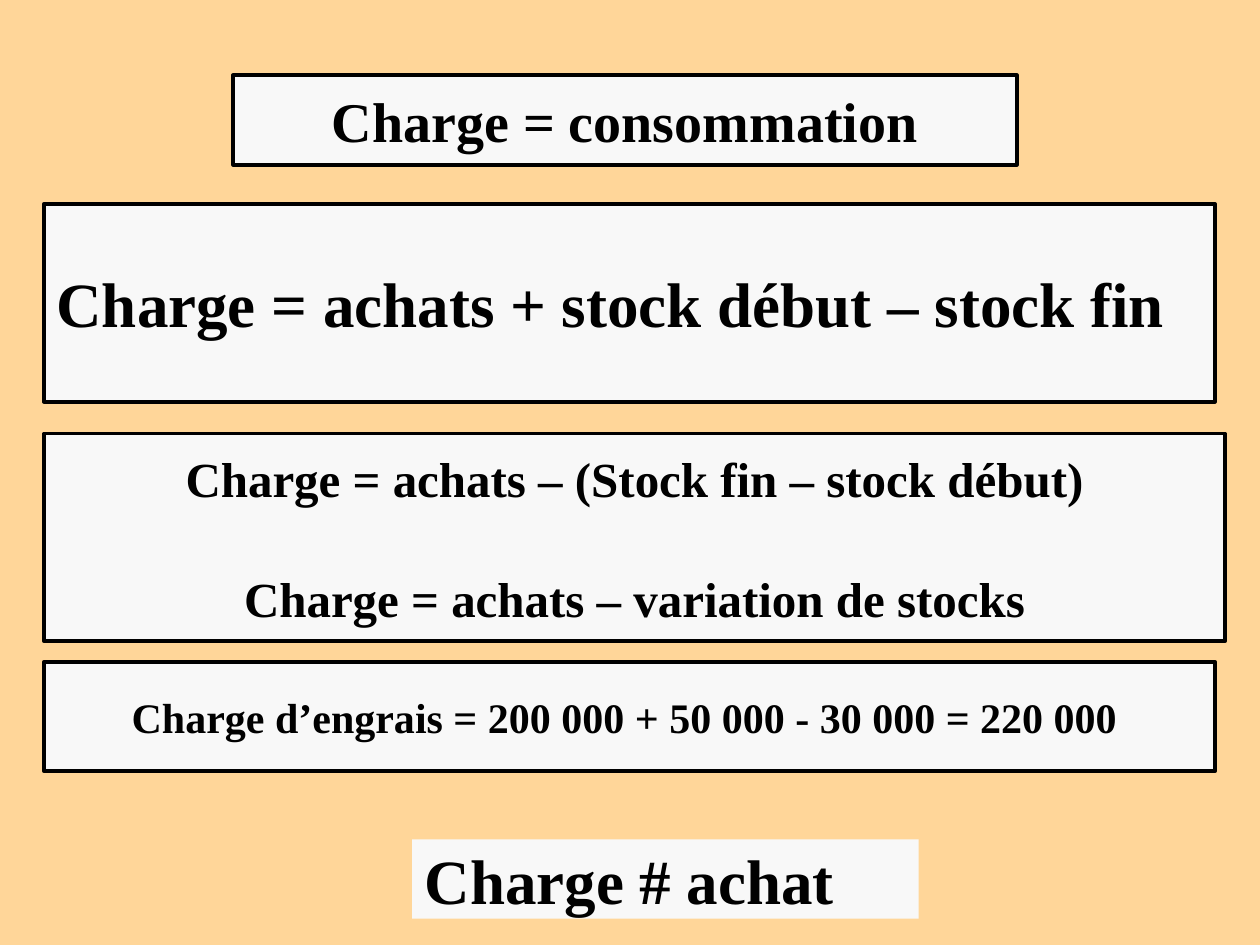
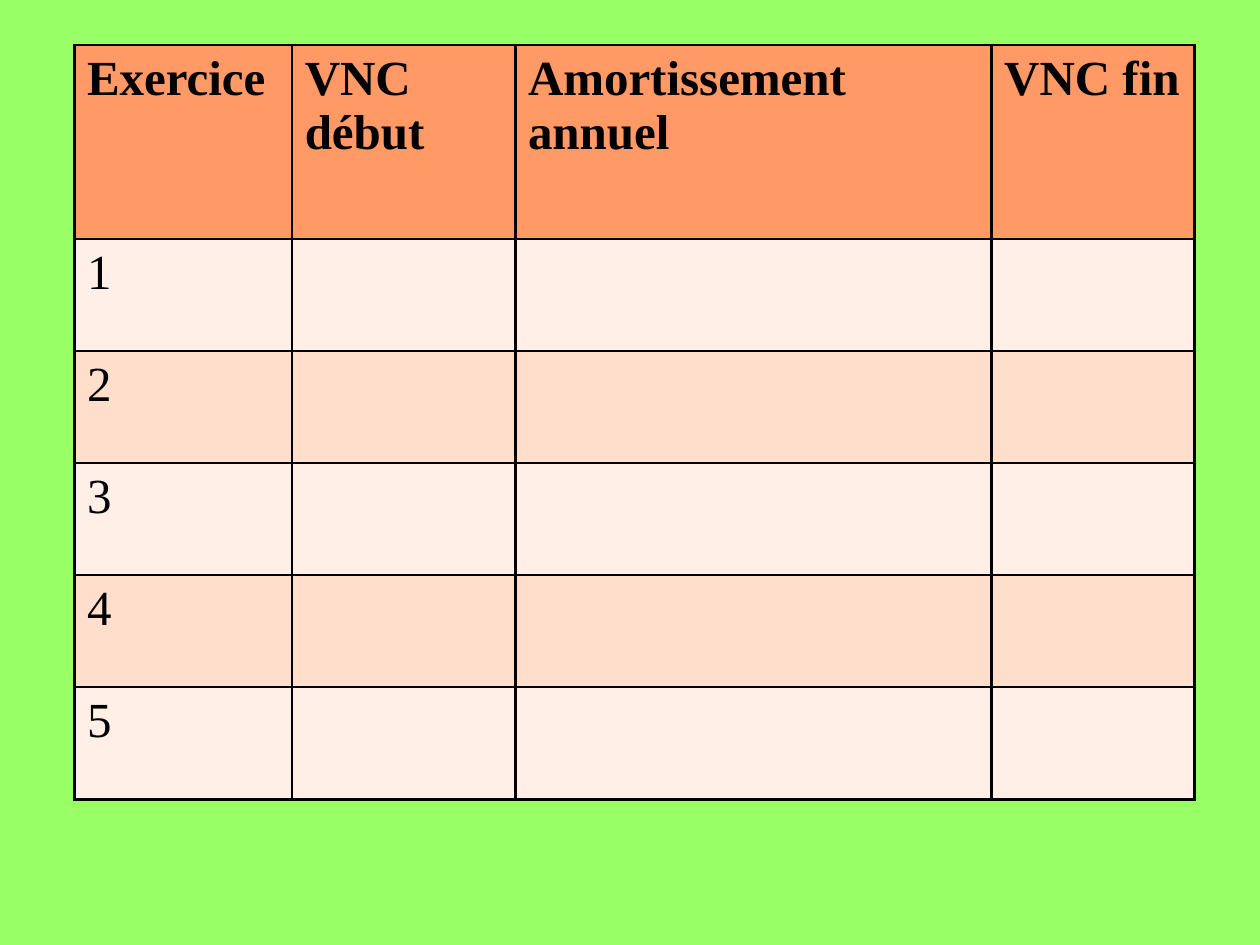
import dataclasses

import lxml.etree
import pptx
import pptx.dml.color
import pptx.enum.shapes
import pptx.enum.text
import pptx.oxml.ns
import pptx.util

Cm = pptx.util.Cm
Pt = pptx.util.Pt
ALIGN = pptx.enum.text.PP_ALIGN


@dataclasses.dataclass(frozen=True)
class Theme:
    font: str = "Times New Roman"
    ink: str = "000000"
    panel: str = "F8F8F8"
    sand: str = "FFD699"
    green: str = "99FF66"
    head: str = "FF9966"
    bands: tuple = ("FFEFE7", "FFDECB")
    huge: int = 36
    large: int = 32
    mid: int = 28
    small: int = 24
    frame: float = 2.25
    rule: float = 1.47


THEME = Theme()


def apply(item, values):
    for name, value in values.items():
        setattr(item, name, value)


def paint(fill, color):
    fill.solid()
    fill.fore_color.rgb = pptx.dml.color.RGBColor.from_string(color)


def write(para, text, size, bold=True, align=ALIGN.LEFT):
    para.alignment = align
    run = para.add_run()
    run.text = text
    apply(run.font, {"name": THEME.font, "size": Pt(size), "bold": bold})
    paint(run.font.fill, THEME.ink)


def add_slide(deck, color):
    slide = deck.slides.add_slide(deck.slide_layouts[6])
    paint(slide.background.fill, color)
    return slide


def add_panel(slide, place, lines, size, align=ALIGN.CENTER, framed=True, gap=0):
    kind = pptx.enum.shapes.MSO_SHAPE.RECTANGLE
    panel = slide.shapes.add_shape(kind, *map(Cm, place))
    panel.shadow.inherit = False
    paint(panel.fill, THEME.panel)
    if framed:
        paint(panel.line.fill, THEME.ink)
        panel.line.width = Pt(THEME.frame)
    else:
        panel.line.fill.background()
    frame = panel.text_frame
    apply(frame, {
        "word_wrap": True,
        "vertical_anchor": pptx.enum.text.MSO_ANCHOR.MIDDLE,
    })
    for i, text in enumerate(lines):
        para = frame.add_paragraph() if i else frame.paragraphs[0]
        if i:
            para.space_before = Pt(gap)
        write(para, text, size, align=align)


def add_edges(cell):
    props = cell._tc.get_or_add_tcPr()
    qn = pptx.oxml.ns.qn
    for side in ("lnL", "lnR", "lnT", "lnB"):
        edge = lxml.etree.SubElement(props, qn(f"a:{side}"), w=str(Pt(THEME.rule)))
        fill = lxml.etree.SubElement(edge, qn("a:solidFill"))
        lxml.etree.SubElement(fill, qn("a:srgbClr"), val=THEME.ink)


def add_grid(slide, left, top, widths, heights, rows):
    place = map(Cm, (left, top, sum(widths), sum(heights)))
    grid = slide.shapes.add_table(len(rows), len(widths), *place).table
    for col, width in zip(grid.columns, widths):
        col.width = Cm(width)
    for r, texts in enumerate(rows):
        grid.rows[r].height = Cm(heights[r])
        color = THEME.bands[(r - 1) % 2] if r else THEME.head
        for c in range(len(widths)):
            cell = grid.cell(r, c)
            add_edges(cell)
            paint(cell.fill, color)
            if c < len(texts):
                write(cell.text_frame.paragraphs[0], texts[c], THEME.mid, bold=r == 0)


def build_charge(deck):
    slide = add_slide(deck, THEME.sand)
    left, width = 0.89, 23.6
    add_panel(slide, (left, 4.11, width, 3.99),
              ["Charge = achats + stock début – stock fin"],
              THEME.huge, ALIGN.LEFT)
    add_panel(slide, (4.7, 1.52, 15.8, 1.8), ["Charge = consommation"], THEME.large)
    add_panel(slide, (left, 8.74, 23.8, 4.19),
              ["Charge = achats – (Stock fin – stock début)",
               "Charge = achats – variation de stocks"],
              THEME.mid, gap=35)
    add_panel(slide, (left, 13.34, width, 2.21),
              ["Charge d’engrais = 200 000 + 50 000 - 30 000 = 220 000 "],
              THEME.small)
    add_panel(slide, (8.31, 16.92, 10.21, 1.6), ["Charge # achat"],
              THEME.huge, ALIGN.LEFT, framed=False)


def build_value(deck):
    slide = add_slide(deck, THEME.green)
    heads = ["Exercice", "VNC début", "Amortissement annuel", "VNC fin"]
    years = [[str(year)] for year in range(1, 6)]
    add_grid(slide, 1.5, 0.91, [4.39, 4.5, 9.6, 4.09],
             [3.91] + [2.26] * len(years), [heads] + years)


def main():
    deck = pptx.Presentation()
    apply(deck, {"slide_width": Cm(25.4), "slide_height": Cm(19.05)})
    build_charge(deck)
    build_value(deck)
    deck.save("out.pptx")


if __name__ == "__main__":
    main()
